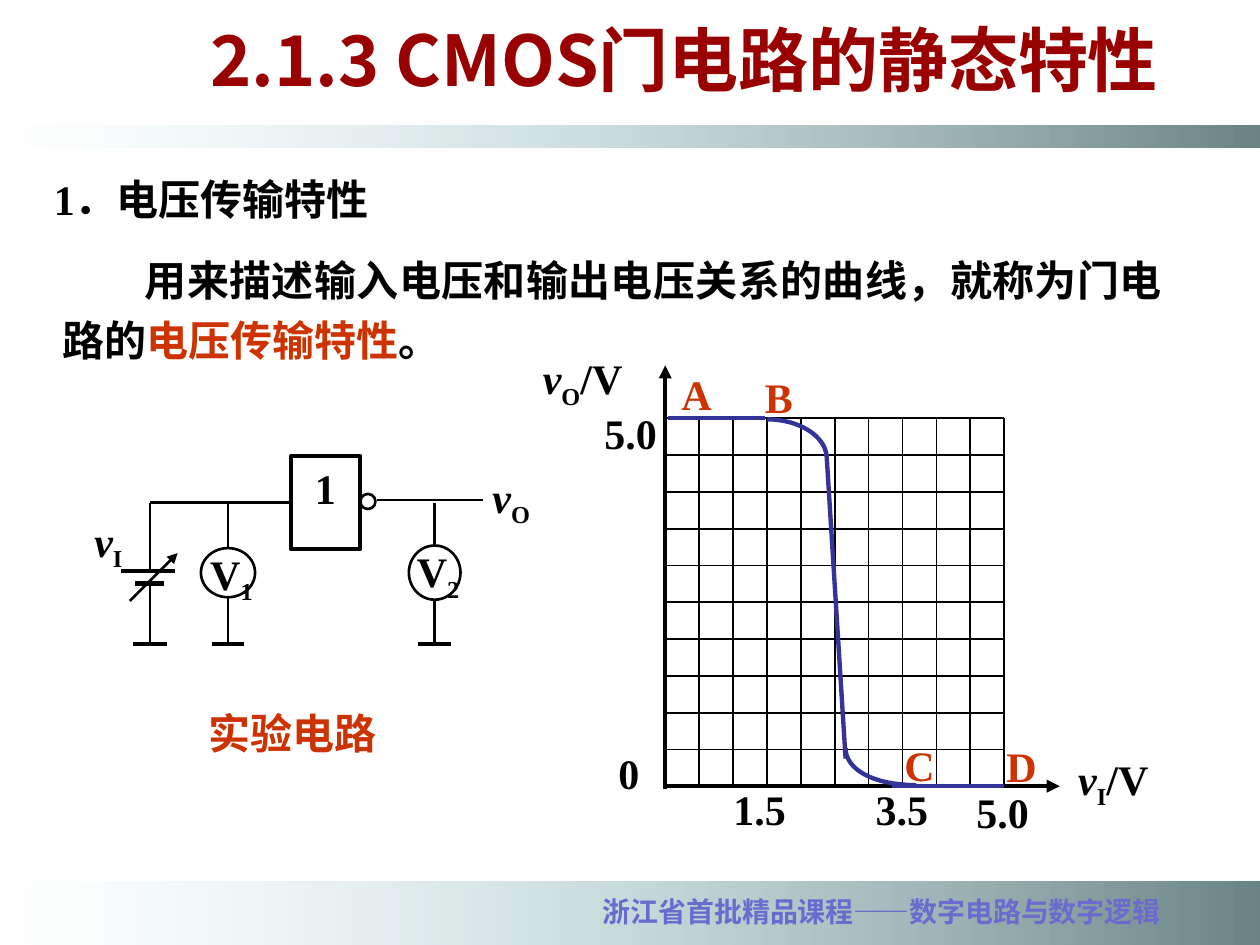
from pptx import Presentation
from pptx.dml.color import RGBColor
from pptx.enum.shapes import MSO_CONNECTOR, MSO_SHAPE
from pptx.enum.text import MSO_ANCHOR, MSO_AUTO_SIZE, PP_ALIGN
from pptx.oxml.ns import qn
from pptx.util import Inches, Pt
from lxml import etree

STRAIGHT = MSO_CONNECTOR.STRAIGHT
RECT, NODE = MSO_SHAPE.RECTANGLE, MSO_SHAPE.FLOWCHART_CONNECTOR
LEFT, CENTER, JUSTIFY = PP_ALIGN.LEFT, PP_ALIGN.CENTER, PP_ALIGN.JUSTIFY
BLACK = RGBColor(0x00, 0x00, 0x00)
RED = RGBColor(0x99, 0x00, 0x00)
ORANGE = RGBColor(0xCC, 0x33, 0x00)
BLUE = RGBColor(0x33, 0x33, 0x99)
VIOLET = RGBColor(0x6B, 0x6B, 0xCF)
SLATE = RGBColor(0x6A, 0x84, 0x86)
AQUA = RGBColor(0xB8, 0xE3, 0xE6)
SERIF, SANS = "Times New Roman", "Noto Sans CJK SC"
THIN, MEDIUM, THICK = 1, 1.5, 2.5
W, H = 10, 7.5


class Grid:
    def __init__(self, s, box, cols, rows):
        self.s = s
        self.x, self.y, w, h = box
        self.dx, self.dy = w / cols, h / rows

    def at(self, c, r):
        return Inches(self.x + c * self.dx), Inches(self.y + r * self.dy)

    def size(self, c, r):
        return Inches(c * self.dx), Inches(r * self.dy)

    def line(self, start, end, width=MEDIUM, color=BLACK, arrow=False):
        cn = self.s.shapes.add_connector(STRAIGHT, *self.at(*start), *self.at(*end))
        cn.line.color.rgb = color
        cn.line.width = Pt(width)
        if arrow:
            etree.SubElement(cn.line._get_or_add_ln(), qn("a:tailEnd"), type="triangle")
        etree.SubElement(cn._element.spPr, qn("a:effectLst"))
        return cn

    def shape(self, kind, c, r, w, h, width=MEDIUM):
        sp = self.s.shapes.add_shape(kind, *self.at(c, r), *self.size(w, h))
        sp.shadow.inherit = False
        sp.fill.background()
        sp.line.color.rgb = BLACK
        sp.line.width = Pt(width)
        return sp

    def label(self, c, r, w, h, runs, color=BLACK, **style):
        sp = self.s.shapes.add_textbox(*self.at(c, r), *self.size(w, h))
        return write(sp.text_frame, [(t, k, color) for t, k in runs], **style)

    def curve(self, p0, p1, p2, p3, steps=16):
        points = []
        for i in range(steps + 1):
            t = i / steps
            weights = ((1 - t) ** 3, 3 * t * (1 - t) ** 2, 3 * t * t * (1 - t), t ** 3)
            points.append(self.at(*(sum(k * p[axis] for k, p in zip(weights, (p0, p1, p2, p3)))
                                    for axis in (0, 1))))
        fb = self.s.shapes.build_freeform(*points[0])
        fb.add_line_segments(points[1:], close=False)
        sp = fb.convert_to_shape()
        sp.shadow.inherit = False
        sp.fill.background()
        sp.line.color.rgb = BLUE
        sp.line.width = Pt(THICK)


def write(tf, runs, size=24, font=SERIF, align=LEFT):
    tf.word_wrap = True
    tf.auto_size = MSO_AUTO_SIZE.NONE
    tf.vertical_anchor = MSO_ANCHOR.TOP
    p = tf.paragraphs[0]
    p.alignment = align
    for text, kind, color in runs:
        r = p.add_run()
        r.text = text
        r.font.size = Pt(size)
        r.font.bold = True
        r.font.italic = kind == "var"
        r.font.color.rgb = color
        r.font.name = font
        rPr = r._r.get_or_add_rPr()
        etree.SubElement(rPr, qn("a:ea"), typeface=SANS)
        if kind == "sub":
            rPr.set("baseline", "-25000")
    return p


def symbol(name, sub, unit="", kind="var"):
    runs = [(name, kind), (sub, "sub")]
    return runs + [(unit, "")] if unit else runs


def band(s, box):
    sp = s.shapes.add_shape(RECT, *map(Inches, box))
    sp.shadow.inherit = False
    sp.line.fill.background()
    sp.fill.gradient()
    sp.fill.gradient_angle = 180
    for stop, color, position in zip(sp.fill.gradient_stops, (SLATE, AQUA), (0, 1)):
        stop.color.rgb = color
        stop.position = position
    clear = sp._element.spPr.findall(".//" + qn("a:srgbClr"))[-1]
    etree.SubElement(clear, qn("a:alpha"), val="0")


def frame(s, box):
    x, y, w, h = box
    band(s, (x, y + h * 14 / 15, w, h / 15))
    band(s, (x, y + h * 2 / 15, w, 0.17))
    g = Grid(s, box, W, H)
    g.label(4.5, 7.05, 5, 0.37, [("浙江省首批精品课程——数字电路与数字逻辑", "")], VIOLET,
            size=16, font=SANS, align=CENTER)


def title(s, box):
    sp = s.shapes.title
    sp.left, sp.top, sp.width, sp.height = map(Inches, box)
    write(sp.text_frame, [("2.1.3 CMOS门电路的静态特性", "", RED)],
          size=40, font=SANS, align=CENTER)


def definition(s, box):
    g = Grid(s, box, 9, 1.65)
    g.label(0, 0, 3.77, 0.5, [("1．电压传输特性", "")], align=JUSTIFY)
    sp = s.shapes.add_textbox(*g.at(0.07, 0.56), *g.size(8.92, 1.06))
    p = write(sp.text_frame, [
        ("用来描述输入电压和输出电压关系的曲线，就称为门电路的", "", BLACK),
        ("电压传输特性", "", ORANGE),
        ("。", "", BLACK)], align=JUSTIFY)
    p.line_spacing = 1.2
    p._p.get_or_add_pPr().set("indent", str(Inches(0.65)))


def ground(g, c, top, half):
    g.line((c, top), (c, 15.3))
    g.line((c - half, 15.1), (c + half, 15.1), THICK)


def meter(g, c, top, w, h, number):
    g.line((c, 3.9), (c, top))
    g.shape(NODE, c - w / 2, top, w, h)
    ground(g, c, top + h, 1.3)
    g.label(c - 2.4, top - 0.5, 6.5, 4.9, symbol("V", number, kind=""))


def circuit(s, box):
    g = Grid(s, box, 40, 20)
    gate = g.shape(RECT, 17.1, 0.2, 5.5, 7.4, THICK)
    g.label(18, 0.2, 4, 4.9, [("1", "")])
    g.shape(NODE, 22.6, 3.2, 1.2, 1.2)
    g.line((17.1, 3.9), (5.9, 3.9)).begin_connect(gate, 1)
    g.line((23.9, 3.7), (32.3, 3.7))
    g.line((5.9, 3.9), (5.9, 9.3))
    g.line((3.6, 9.3), (7.9, 9.3), THICK)
    g.line((4.7, 10.3), (7, 10.3), THICK)
    ground(g, 5.9, 10.3, 1.35)
    g.line((4.3, 11.7), (8.1, 7.9), arrow=True)
    meter(g, 12.1, 7.5, 4.3, 3.9, "1")
    meter(g, 28.5, 7.3, 4.1, 4.3, "2")
    g.label(0.5, 4.4, 4.9, 5.7, symbol("v", "I"))
    g.label(32.1, 0.9, 5.7, 5.5, symbol("v", "O"))
    g.label(9.6, 19.7, 15.8, 5, [("实验电路", "")], ORANGE)


def transfer_plot(s, box):
    g = Grid(s, box, 10, 10)
    g.line((0, 10.07), (0, -1.44), THICK, arrow=True)
    g.line((0, 10), (11.64, 10), THICK, arrow=True)
    for i in range(10):
        g.line((0, i), (10, i), THIN)
        g.line((i + 1, 10), (i + 1, 0), THIN)
    g.line((0.07, 0), (2.94, 0), THICK, BLUE)
    g.curve((3.01, 0.03), (3.94, 0.03), (4.72, 0.48), (4.76, 1.03))
    g.line((4.76, 1), (5.32, 9.25), THICK, BLUE)
    g.curve((5.32, 8.97), (5.32, 9.52), (6.1, 9.97), (7.4, 9.97))
    g.line((6.69, 10), (10, 10), THICK, BLUE)
    for text, c, r in (("5.0", -2.16, -0.45), ("0", -1.75, 8.77), ("1.5", 1.64, 9.76),
                       ("3.5", 5.84, 9.76), ("5.0", 8.81, 9.83)):
        g.label(c, r, 2.75, 1.82, [(text, "")])
    for text, c, r in (("A", 0.11, -1.51), ("B", 2.57, -1.44), ("C", 6.69, 8.56), ("D", 9.7, 8.6)):
        g.label(c, r, 1.93, 1.5, [(text, "")], ORANGE)
    g.label(-3.98, -1.95, 3.98, 1.95, symbol("v", "O", "/V"))
    g.label(11.82, 8.94, 3.31, 1.95, symbol("v", "I", "/V"))


def main():
    prs = Presentation()
    prs.slide_width, prs.slide_height = Inches(W), Inches(H)
    s = prs.slides.add_slide(prs.slide_layouts[5])
    frame(s, (0, 0, W, H))
    title(s, (1.44, 0.08, 7.98, 1.44))
    definition(s, (0.33, 1.33, 9, 1.65))
    circuit(s, (0.6, 3.6, 4, 2))
    transfer_plot(s, (5.28, 3.32, 2.69, 2.92))
    prs.save("out.pptx")


if __name__ == "__main__":
    main()
